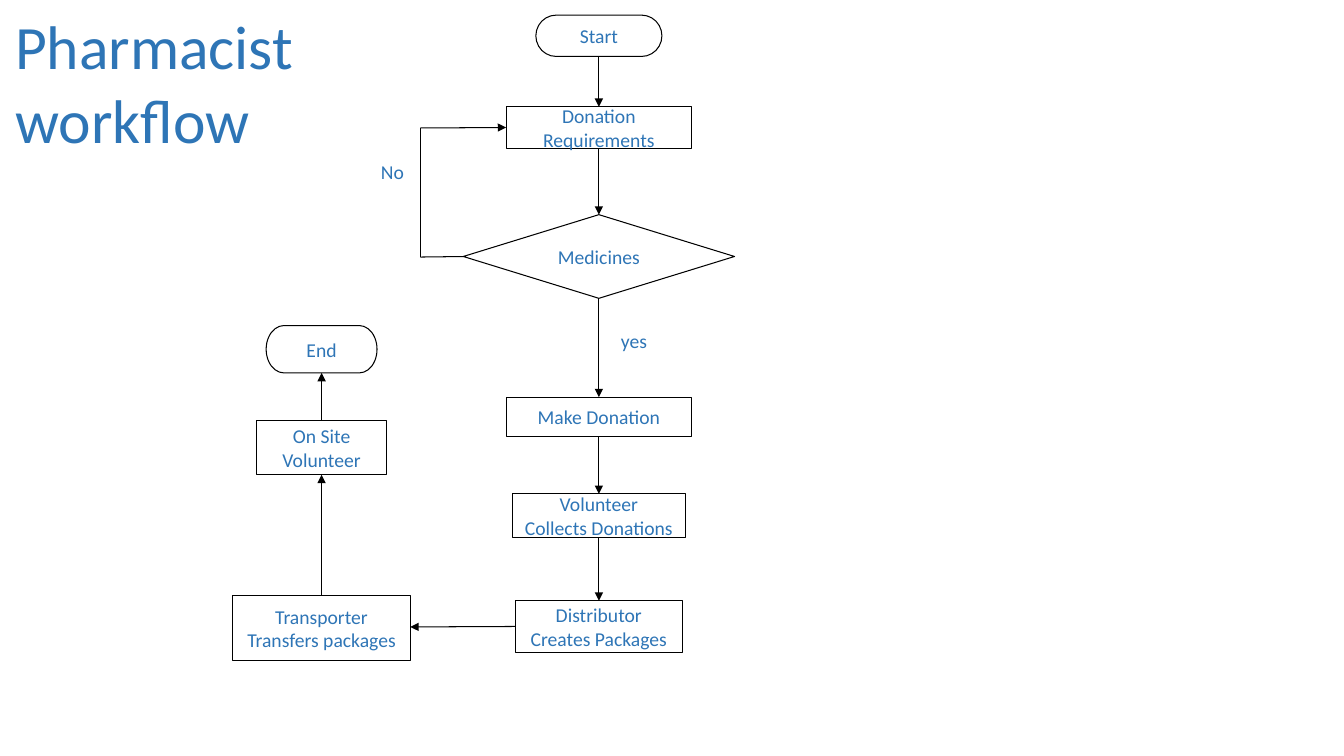
from lxml import etree
from pptx import Presentation
from pptx import util as u
from pptx.dml.color import RGBColor
from pptx.enum import shapes, text
from pptx.oxml import ns

BLUE = RGBColor(0x2E, 0x75, 0xB6)
BLACK = RGBColor(0, 0, 0)
FONT = "Calibri"
TOP, LEFT, BOTTOM = 0, 1, 2
MAIN_CENTER = 5.94
RETURN_CENTER = 3.19
LOOP_X = 4.17

TERMINATOR = shapes.MSO_SHAPE.FLOWCHART_TERMINATOR
PROCESS = shapes.MSO_SHAPE.FLOWCHART_PROCESS
DECISION = shapes.MSO_SHAPE.FLOWCHART_DECISION
RECTANGLE = shapes.MSO_SHAPE.RECTANGLE

MAIN_STEPS = [
    (TERMINATOR, "Start", 0.15, 1.25, 0.41),
    (PROCESS, "Donation\nRequirements", 1.06, 1.84, 0.41),
    (DECISION, "Medicines", 2.13, 2.69, 0.83),
    (PROCESS, "Make Donation", 3.94, 1.84, 0.39),
    (PROCESS, "Volunteer\nCollects Donations", 4.9, 1.71, 0.43),
    (PROCESS, "Distributor\nCreates Packages", 5.96, 1.66, 0.51),
]
RETURN_STEPS = [
    (RECTANGLE, "Transporter\nTransfers packages", 5.91, 1.76, 0.64),
    (RECTANGLE, "On Site Volunteer", 4.17, 1.29, 0.54),
    (TERMINATOR, "End", 3.23, 1.1, 0.47),
]


def write_text(shape, words, size, alignment):
    frame = shape.text_frame
    frame.text = words
    frame.vertical_anchor = text.MSO_ANCHOR.MIDDLE
    for paragraph in frame.paragraphs:
        paragraph.alignment = alignment
        for run in paragraph.runs:
            run.font.name = FONT
            run.font.size = u.Pt(size)
            run.font.color.rgb = BLUE


def add_title(slide, words):
    title = slide.shapes.title
    title.left, title.top = u.Inches(0.05), u.Inches(0.02)
    title.width, title.height = u.Inches(3.03), u.Inches(1.58)
    write_text(title, words, 44, text.PP_ALIGN.LEFT)
    title.text_frame.word_wrap = True
    title.text_frame.auto_size = text.MSO_AUTO_SIZE.NONE


def add_step(slide, center, kind, words, top, width, height):
    step = slide.shapes.add_shape(
        kind, u.Inches(center - width / 2), u.Inches(top), u.Inches(width), u.Inches(height))
    step.shadow.inherit = False
    step.fill.background()
    step.line.color.rgb = BLACK
    step.line.width = u.Pt(0.75)
    write_text(step, words, 14, text.PP_ALIGN.CENTER)
    return step


def add_label(slide, words, left, top, width):
    label = slide.shapes.add_textbox(
        u.Inches(left), u.Inches(top), u.Inches(width), u.Inches(0.34))
    write_text(label, words, 14, text.PP_ALIGN.LEFT)
    label.text_frame.word_wrap = False


def add_line(slide, start=(0, 0), end=(0, 0), arrow=False):
    line = slide.shapes.add_connector(
        shapes.MSO_CONNECTOR.STRAIGHT, *(u.Inches(value) for value in (*start, *end)))
    line.line.color.rgb = BLACK
    line.line.width = u.Pt(0.75)
    if arrow:
        etree.SubElement(line.line._get_or_add_ln(), ns.qn("a:tailEnd"), type="triangle")
    etree.SubElement(line._element.spPr, ns.qn("a:effectLst"))
    return line


def link_steps(slide, steps, start_site, end_site):
    for first, second in zip(steps, steps[1:]):
        arrow = add_line(slide, arrow=True)
        arrow.begin_connect(first, start_site)
        arrow.end_connect(second, end_site)


def add_no_loop(slide, requirements, medicines):
    upper, lower = (LOOP_X, 1.27), (LOOP_X, 2.55)
    add_line(slide, end=lower).begin_connect(medicines, LEFT)
    add_line(slide, lower, upper)
    add_line(slide, upper, arrow=True).end_connect(requirements, LEFT)
    add_label(slide, "No", 3.68, 1.53, 0.43)


def main():
    presentation = Presentation()
    presentation.slide_width = u.Inches(13.33)
    presentation.slide_height = u.Inches(7.5)
    slide = presentation.slides.add_slide(presentation.slide_layouts[5])
    add_title(slide, "Pharmacist workflow")

    main_steps = [add_step(slide, MAIN_CENTER, *step) for step in MAIN_STEPS]
    return_steps = [add_step(slide, RETURN_CENTER, *step) for step in RETURN_STEPS]
    link_steps(slide, main_steps, BOTTOM, TOP)
    link_steps(slide, return_steps, TOP, BOTTOM)
    transfer = add_line(slide, end=(4.07, 6.22), arrow=True)
    transfer.begin_connect(main_steps[-1], LEFT)

    add_no_loop(slide, main_steps[1], main_steps[2])
    add_label(slide, "yes", 6.06, 3.21, 0.46)
    presentation.save("out.pptx")


if __name__ == "__main__":
    main()
